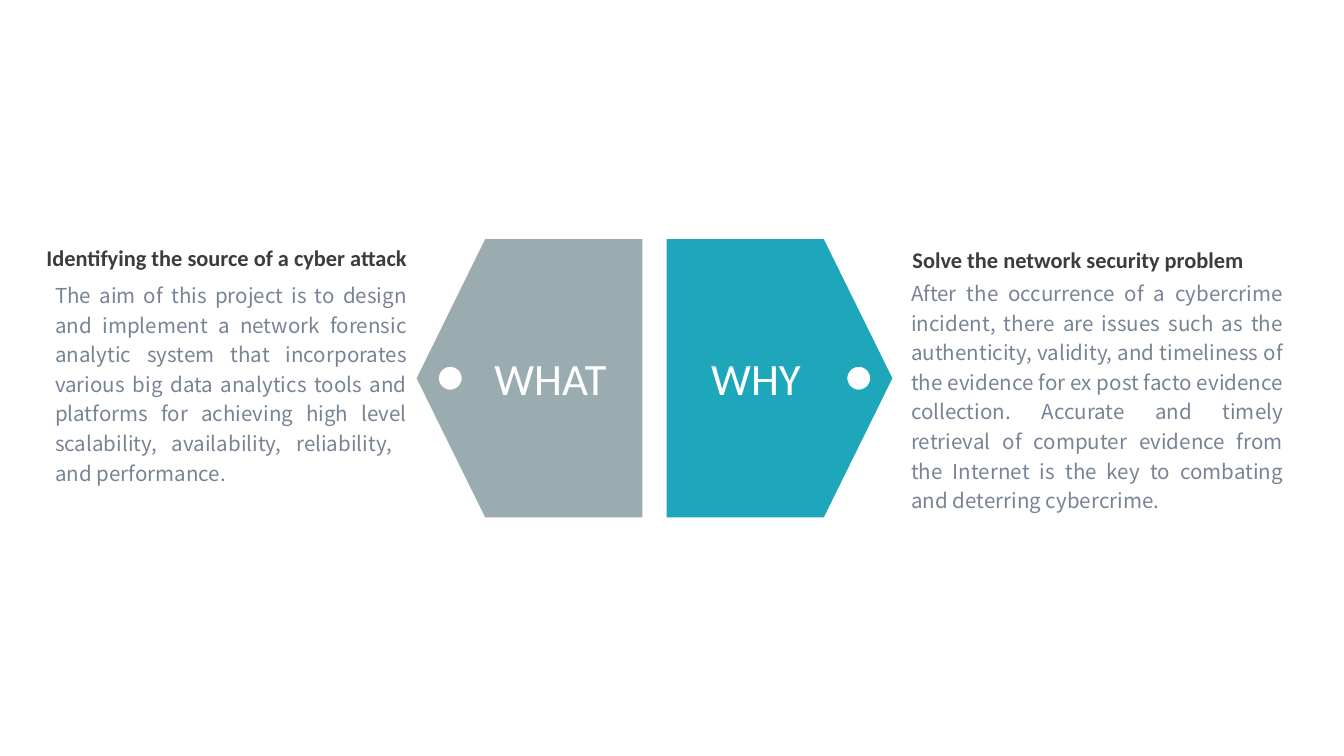
"""Build a slide with two facing tags, WHAT and WHY, and their notes."""
from math import cos, pi, sin

from pptx import Presentation
from pptx.dml.color import RGBColor
from pptx.enum.text import MSO_ANCHOR, MSO_AUTO_SIZE, PP_ALIGN
from pptx.util import Inches, Pt

TAGS = [
    {
        "word": "WHAT", "word_box": (3.37, 2.56, 1.45, 0.5),
        "fill": "9AACAF", "base": 4.78, "side": -1,
        "head": "Identifying the source of a cyber attack",
        "head_box": (0.12, 1.82, 2.99, 0.74), "align": PP_ALIGN.RIGHT,
        "body": "The aim of this project is to design and implement a network "
                "forensic analytic system that incorporates various big data "
                "analytics tools and platforms for achieving high level "
                "scalability, availability, reliability,  and performance.",
        "body_box": (0.33, 2.07, 2.78, 1.78), "anchor": MSO_ANCHOR.TOP,
    },
    {
        "word": "WHY", "word_box": (4.9, 2.56, 1.45, 0.5),
        "fill": "1EA6BB", "base": 4.96, "side": 1,
        "head": "Solve the network security problem",
        "head_box": (6.71, 1.83, 2.9, 0.2), "align": PP_ALIGN.LEFT,
        "body": "After the occurrence of a cybercrime incident, there are "
                "issues such as the authenticity, validity, and timeliness of "
                "the evidence for ex post facto evidence collection. Accurate "
                "and timely retrieval of computer evidence from the Internet "
                "is the key to combating and deterring cybercrime.",
        "body_box": (6.7, 2.07, 2.93, 1.73), "anchor": MSO_ANCHOR.MIDDLE,
    },
]
TOP, HIGH = 1.78, 2.07
FLAT, WIDE = 1.17, 1.68
HOLE, RADIUS, STEPS = 1.43, 0.085, 48


def color(code):
    return RGBColor.from_string(code)


def add_tag(slide, base, side, fill):
    def spot(x, y):
        return Inches(base + side * x), Inches(TOP + y)

    mid = HIGH / 2
    edge = [spot(0, 0), spot(FLAT, 0), spot(WIDE, mid),
            spot(FLAT, HIGH), spot(0, HIGH)]
    turns = [2 * pi * i / STEPS for i in range(STEPS)]
    ring = [spot(HOLE + RADIUS * cos(t), mid - RADIUS * sin(t)) for t in turns]
    pen = slide.shapes.build_freeform(*edge[0], scale=1.0)
    pen.add_line_segments(edge[1:], close=True)
    pen.move_to(*ring[0])
    pen.add_line_segments(ring[1:], close=True)
    shape = pen.convert_to_shape()
    shape.shadow.inherit = False
    shape.fill.solid()
    shape.fill.fore_color.rgb = color(fill)
    shape.line.fill.background()


def add_text(slide, box, text, size, font, tint, align, wrap=True, bold=False):
    frame = slide.shapes.add_textbox(*map(Inches, box)).text_frame
    frame.text = text
    frame.word_wrap = wrap
    para = frame.paragraphs[0]
    para.alignment = align
    face = para.runs[0].font
    face.size, face.name, face.bold = Pt(size), font, bold
    face.color.rgb = color(tint)
    return frame


def trim(frame):
    frame.margin_left = frame.margin_right = Inches(0.08)
    frame.margin_top = frame.margin_bottom = 0


def main():
    deck = Presentation()
    deck.slide_width = Inches(10)
    deck.slide_height = deck.slide_width * 9 // 16
    slide = deck.slides.add_slide(deck.slide_layouts[6])
    for tag in TAGS:
        add_tag(slide, tag["base"], tag["side"], tag["fill"])
        body = add_text(slide, tag["body_box"], tag["body"], 11,
                        "Noto Sans CJK SC", "778495", PP_ALIGN.JUSTIFY)
        body.vertical_anchor = tag["anchor"]
        body.paragraphs[0].line_spacing = 1.2
        trim(body)
        head = add_text(slide, tag["head_box"], tag["head"], 12, "Calibri",
                        "3C3C3C", tag["align"], wrap=False, bold=True)
        trim(head)
        word = add_text(slide, tag["word_box"], tag["word"], 24, "Calibri",
                        "FFFFFF", PP_ALIGN.CENTER)
        word.auto_size = MSO_AUTO_SIZE.SHAPE_TO_FIT_TEXT
    deck.save("out.pptx")


if __name__ == "__main__":
    main()
